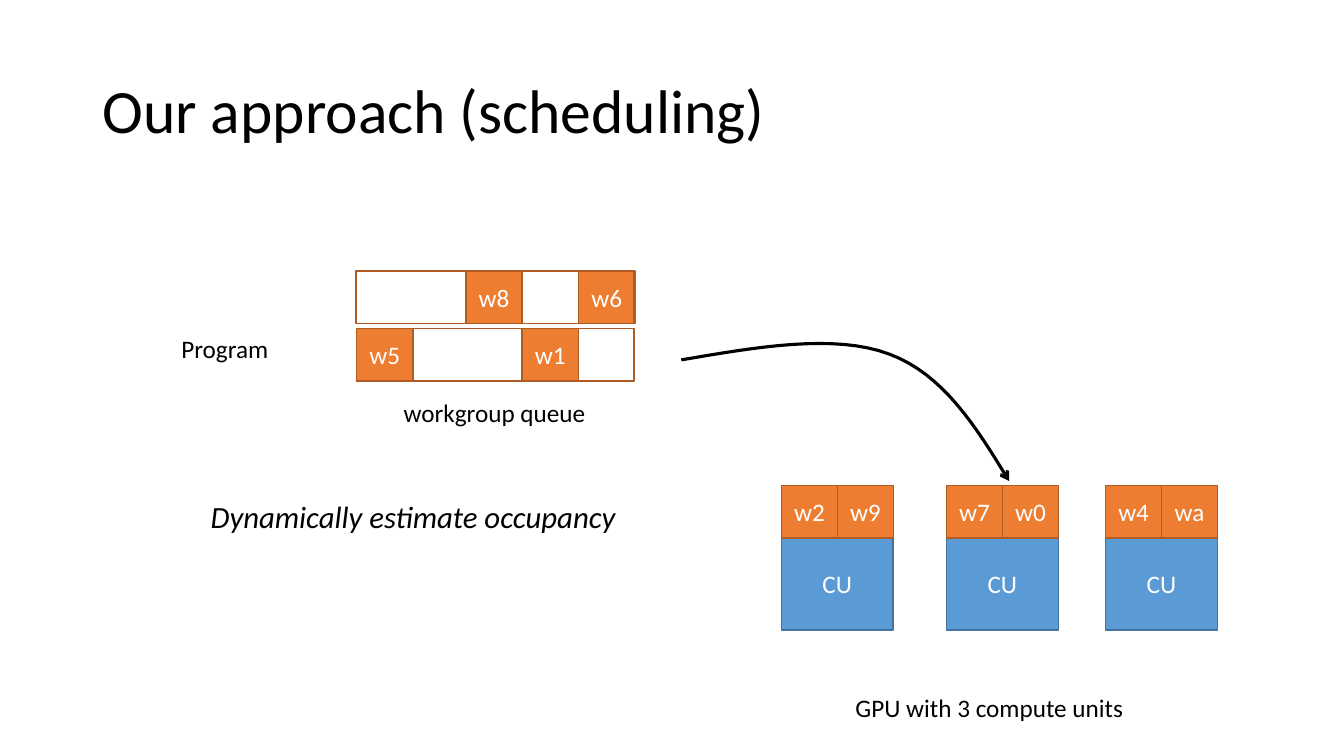
from lxml import etree
from pptx import Presentation
from pptx.dml.color import RGBColor
from pptx.enum import shapes as sh, text as tx
from pptx.oxml import ns
from pptx.util import Cm, Pt

COLORS = {
    "black": "000000", "white": "FFFFFF",
    "blue": "5B9BD5", "navy": "43739E",
    "orange": "ED7D31", "rust": "AF5C24",
}
SIDE, HIGH = 1.42, 1.32  # one workgroup tile
PITCH = 1.41  # tile step above a compute unit


def hue(name):
    return RGBColor.from_string(COLORS[name])


def write(frame, words, size=18, color="black", align=tx.PP_ALIGN.LEFT,
          anchor=tx.MSO_ANCHOR.TOP, italic=False, wrap=True, space=1.0,
          fit=tx.MSO_AUTO_SIZE.NONE):
    frame.word_wrap = wrap
    frame.auto_size = fit
    frame.vertical_anchor = anchor
    para = frame.paragraphs[0]
    para.alignment = align
    para.line_spacing = space
    run = para.add_run()
    run.text = words
    font = run.font
    font.name, font.size, font.italic = "Calibri", Pt(size), italic
    font.color.rgb = hue(color)


def place(shape, x, y, w, h):
    shape.left, shape.top, shape.width, shape.height = map(Cm, (x, y, w, h))


def label(slide, words, x, y, w, h, **form):
    box = slide.shapes.add_textbox(Cm(x), Cm(y), Cm(w), Cm(h))
    write(box.text_frame, words, fit=tx.MSO_AUTO_SIZE.SHAPE_TO_FIT_TEXT, **form)


def rect(slide, x, y, w, h, line, fill=None, words=None):
    box = slide.shapes.add_shape(
        sh.MSO_SHAPE.RECTANGLE, Cm(x), Cm(y), Cm(w), Cm(h))
    box.shadow.inherit = False
    box.line.color.rgb = hue(line)
    box.line.width = Pt(1)
    if fill:
        box.fill.solid()
        box.fill.fore_color.rgb = hue(fill)
    else:
        box.fill.background()
    if words:
        write(box.text_frame, words, color="white",
              align=tx.PP_ALIGN.CENTER, anchor=tx.MSO_ANCHOR.MIDDLE)


def tile(slide, words, x, y):
    rect(slide, x, y, SIDE, HIGH, "rust", "orange", words)


def unit(slide, x, jobs):
    rect(slide, x, 13.54, 2.82, 2.34, "navy", "blue", "CU")
    for i, job in enumerate(jobs):
        tile(slide, job, x + i * PITCH, 12.24)


def queue(slide, x, y, jobs):
    for job, left in jobs:
        tile(slide, job, left, y)
    rect(slide, x, y, 6.99, HIGH, "rust")


def bezier(a, b, c, d, steps=16):
    """Points along a cubic curve, without its first one."""
    for i in range(1, steps + 1):
        t = i / steps
        s = 1 - t
        yield tuple(
            int(Cm(s**3 * p + 3 * s * s * t * q + 3 * s * t * t * r + t**3 * e))
            for p, q, r, e in zip(a, b, c, d))


def arrow(slide, knots):
    pen = slide.shapes.build_freeform(*map(Cm, knots[0]))
    for i in range(0, len(knots) - 1, 3):
        pen.add_line_segments(list(bezier(*knots[i:i + 4])), close=False)
    curve = pen.convert_to_shape()
    curve.shadow.inherit = False
    curve.fill.background()
    curve.line.color.rgb = hue("black")
    curve.line.width = Pt(2.25)
    etree.SubElement(curve.line._get_or_add_ln(), ns.qn("a:tailEnd"),
                     type="arrow")


def main():
    deck = Presentation()
    deck.slide_width, deck.slide_height = Cm(33.87), Cm(19.05)
    slide = deck.slides.add_slide(deck.slide_layouts[5])

    # Title
    title = slide.shapes.title
    place(title, 2.33, 1.01, 29.21, 3.68)
    write(title.text_frame, "Our approach (scheduling)", size=44,
          anchor=tx.MSO_ANCHOR.MIDDLE, space=0.9)

    # GPU
    for x, jobs in ((19.69, ("w2", "w9")), (23.85, ("w7", "w0")),
                    (27.86, ("w4", "wa"))):
        unit(slide, x, jobs)
    label(slide, "GPU with 3 compute units", 21.31, 17.32, 7.34, 1.03,
          wrap=False)

    # Workgroup queue
    queue(slide, 8.97, 6.83, (("w8", 11.74), ("w6", 14.58)))
    queue(slide, 8.99, 8.28, (("w5", 8.99), ("w1", 13.16)))
    label(slide, "Program", 4.32, 8.28, 2.72, 1.03, wrap=False)
    label(slide, "workgroup queue", 8.94, 9.88, 7.04, 1.03,
          align=tx.PP_ALIGN.CENTER)

    # From the queue to the GPU
    arrow(slide, [(17.17, 9.07), (19.1, 8.74), (21.03, 8.41), (22.4, 8.92),
                  (23.77, 9.42), (24.61, 10.77), (25.43, 12.12)])

    # Key idea
    label(slide, "Dynamically estimate occupancy", 5, 12.42, 10.82, 1.19,
          size=22, italic=True, wrap=False, align=tx.PP_ALIGN.CENTER)

    deck.save("out.pptx")


if __name__ == "__main__":
    main()
